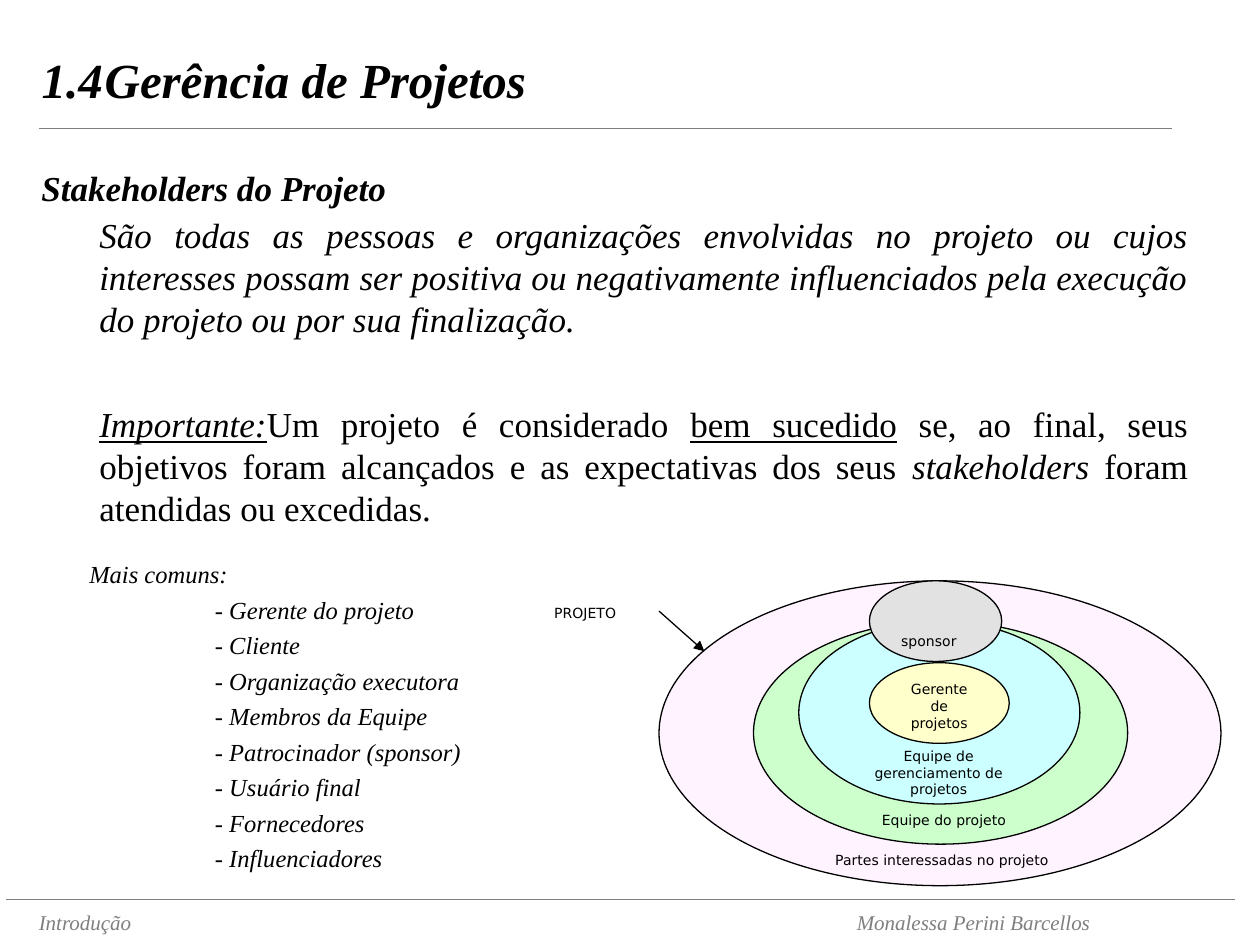
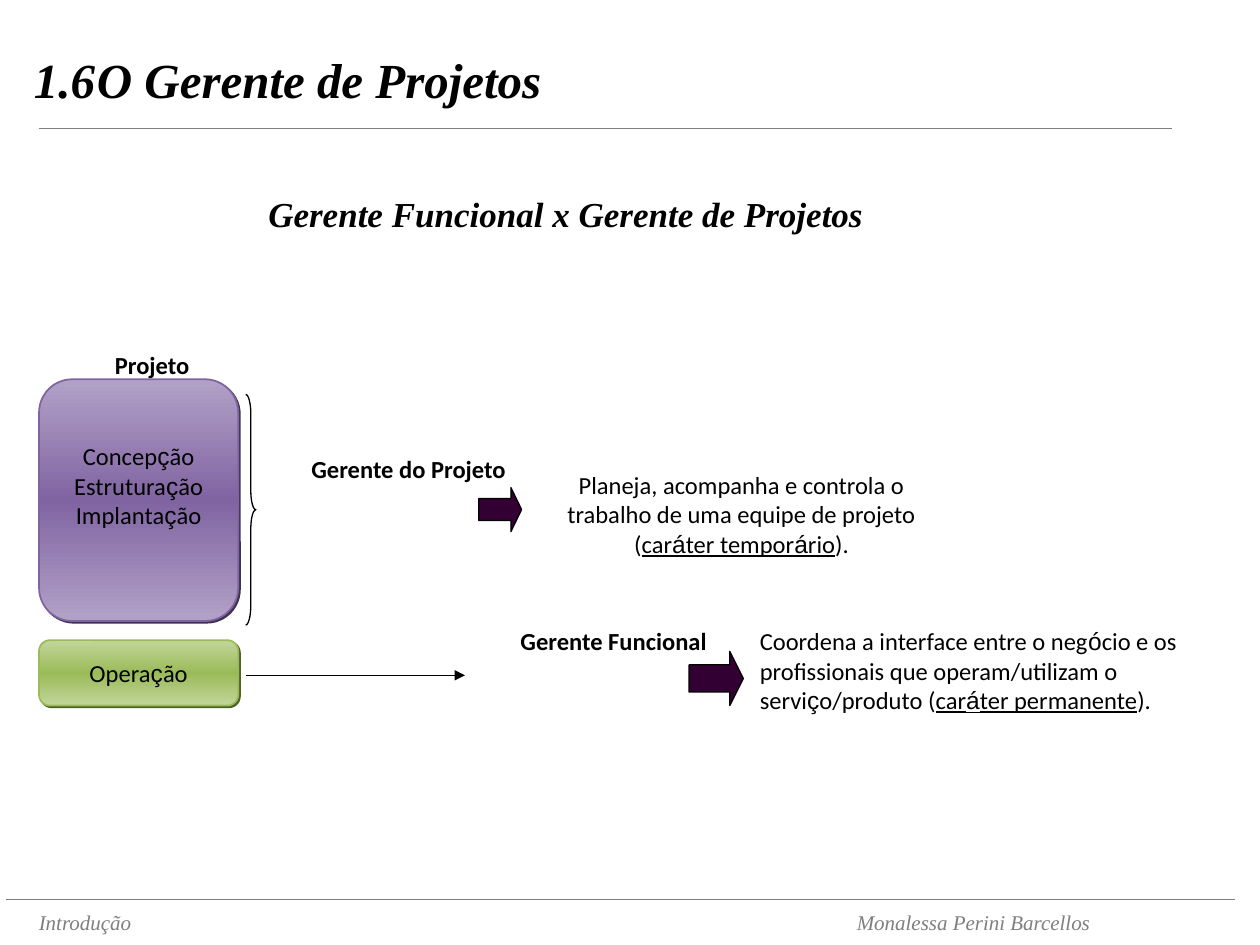
from dataclasses import dataclass
from itertools import groupby

from lxml.etree import SubElement
from copy import deepcopy
from pptx import Presentation
from pptx.dml.color import RGBColor
from pptx.enum.shapes import MSO_CONNECTOR, MSO_SHAPE as SHAPE
from pptx.enum.text import MSO_ANCHOR as ANCHOR, MSO_AUTO_SIZE, PP_ALIGN as ALIGN
from pptx.oxml.ns import qn
from pptx.util import Pt

# Colours
BLACK = RGBColor(0x00, 0x00, 0x00)
GRAY = RGBColor(0x7F, 0x7F, 0x7F)
PINK = RGBColor(0xFF, 0xF3, 0xFF)
GREEN = RGBColor(0xCC, 0xFF, 0xCC)
CYAN = RGBColor(0xCC, 0xFF, 0xFF)
YELLOW = RGBColor(0xFF, 0xFF, 0xCC)
SILVER = RGBColor(0xE2, 0xE2, 0xE2)
PLUM = RGBColor(0x33, 0x00, 0x33)
PURPLE = RGBColor(0x80, 0x64, 0xA2)
PURPLE_LIGHT = RGBColor(0xB2, 0xA1, 0xC7)
PURPLE_DARK = RGBColor(0x3F, 0x31, 0x51)
OLIVE = RGBColor(0x9B, 0xBB, 0x59)
OLIVE_LIGHT = RGBColor(0xC2, 0xD6, 0x9B)
OLIVE_DARK = RGBColor(0x4E, 0x61, 0x28)

LINE_HEIGHT = 1.2
WIDE_INSETS = (7.2, 3.6, 7.2, 3.6)
TIGHT_INSETS = (5.1, 2.9, 5.1, 2.9)
ARIAL_LETTERS = "çáó"


@dataclass(frozen=True)
class Style:
    font: str
    size: float
    flags: str = ""
    color: RGBColor = BLACK


TITLE = Style("Times New Roman", 28, "bi")
SUBTITLE = Style("Times New Roman", 20, "bi")
BODY = Style("Times New Roman", 20)
LIST = Style("Times New Roman", 14, "i")
FOOTER = Style("Times New Roman", 12, "i", GRAY)
DIAGRAM = Style("DejaVu Sans", 8)
FLOW = Style("Calibri", 14)
ROLE = Style("Calibri", 14, "b")


# Text
def add_run(paragraph, text, style, flags):
    run = paragraph.add_run()
    run.text = text
    font = run.font
    font.name, font.size = style.font, Pt(style.size)
    font.color.rgb = style.color
    font.bold, font.italic, font.underline = (flag in flags for flag in "biu")
    return run


def add_runs(paragraph, text, style, flags):
    """Calibri text sets some accented letters in Arial."""
    if style.font != "Calibri":
        add_run(paragraph, text, style, flags)
        return
    for accented, letters in groupby(text, lambda letter: letter in ARIAL_LETTERS):
        run = add_run(paragraph, "".join(letters), style, flags)
        if accented:
            run.font.name = "Arial"


def write(frame, paragraphs, style, align=ALIGN.LEFT, anchor=ANCHOR.TOP,
          insets=WIDE_INSETS, gap=0, margins=(0,), tab=None):
    """Each paragraph is a string or a list of (text, flags) runs."""
    frame.word_wrap = True
    frame.auto_size = MSO_AUTO_SIZE.NONE
    frame.vertical_anchor = anchor
    (frame.margin_left, frame.margin_top,
     frame.margin_right, frame.margin_bottom) = map(Pt, insets)
    for index, content in enumerate(paragraphs):
        paragraph = frame.add_paragraph() if index else frame.paragraphs[0]
        properties = paragraph._p.get_or_add_pPr()
        properties.set("marL", str(Pt(margins[min(index, len(margins) - 1)])))
        properties.set("indent", "0")
        SubElement(properties, qn("a:buNone"))
        if tab:
            stops = SubElement(properties, qn("a:tabLst"))
            SubElement(stops, qn("a:tab"), pos=str(Pt(tab)), algn="l")
        paragraph.alignment = align
        paragraph.line_spacing = Pt(style.size * LINE_HEIGHT)
        paragraph.space_before = Pt(gap if index else 0)
        runs = [(content, style.flags)] if isinstance(content, str) else content
        for text, flags in runs:
            add_runs(paragraph, text, style, flags)


def add_label(slide, box, paragraphs, style, **options):
    label = slide.shapes.add_textbox(*map(Pt, box))
    write(label.text_frame, paragraphs, style, **options)


def fill_placeholder(placeholder, box, paragraphs, style, **options):
    (placeholder.left, placeholder.top,
     placeholder.width, placeholder.height) = map(Pt, box)
    write(placeholder.text_frame, paragraphs, style, **options)


# Shapes and lines
def add_line(slide, start, end, color=BLACK, width=0.75, arrow=False):
    line = slide.shapes.add_connector(MSO_CONNECTOR.STRAIGHT, *map(Pt, start + end))
    line.line.color.rgb = color
    line.line.width = Pt(width)
    if arrow:
        SubElement(line.line._get_or_add_ln(), qn("a:tailEnd"), type="triangle")
    SubElement(line._element.spPr, qn("a:effectLst"))


def add_outlined(slide, kind, box, fill=None, line=BLACK, width=0.75):
    shape = slide.shapes.add_shape(kind, *map(Pt, box))
    shape.shadow.inherit = False
    if fill is None:
        shape.fill.background()
    else:
        shape.fill.solid()
        shape.fill.fore_color.rgb = fill
    shape.line.color.rgb = line
    shape.line.width = Pt(width)
    return shape


def add_phase_box(slide, box, edge, middle, shade, paragraphs, insets=TIGHT_INSETS):
    phase = add_outlined(slide, SHAPE.FLOWCHART_ALTERNATE_PROCESS, box,
                         line=middle, width=1)
    # Vertical gradient, light at both ends
    phase.fill.gradient()
    phase.fill.gradient_angle = 270
    properties = phase._element.spPr
    stops = properties.find(qn("a:gradFill")).find(qn("a:gsLst"))
    stops.append(deepcopy(stops[0]))
    for stop, position, color in zip(phase.fill.gradient_stops, (0, 0.5, 1),
                                     (edge, middle, edge)):
        stop.position = position
        stop.color.rgb = color
    # Hard shadow to the lower right
    shadow = SubElement(properties.find(qn("a:effectLst")), qn("a:outerShdw"),
                        dist=str(Pt(1.4)), dir="2700000", algn="ctr", rotWithShape="0")
    SubElement(shadow, qn("a:srgbClr"), val=str(shade))
    write(phase.text_frame, paragraphs, FLOW, align=ALIGN.CENTER,
          anchor=ANCHOR.MIDDLE, insets=insets)


def add_block_arrow(slide, box):
    arrow = add_outlined(slide, SHAPE.RIGHT_ARROW, box, PLUM)
    arrow.adjustments[0], arrow.adjustments[1] = 0.5, 0.25


# Shared frame: title, rules and footer
def add_framed_slide(deck, layout, title, left, tab):
    slide = deck.slides.add_slide(deck.slide_layouts[layout])
    fill_placeholder(slide.shapes.title, (left, 0, 690, 90), [title], TITLE,
                     anchor=ANCHOR.MIDDLE, tab=tab)
    add_line(slide, (22.3, 73.4), (669.6, 73.4), GRAY, 1)
    add_line(slide, (3.6, 514.1), (705.6, 514.1), GRAY)
    for text_left, text in ((15.1, "Introdução"), (482.5, "Monalessa Perini Barcellos")):
        add_label(slide, (text_left, 516.2, 180, 21.6), [text], FOOTER)
    return slide


# Slide 1
def add_stakeholder_rings(slide):
    for box, color in (
        ((376.6, 331.9, 321.1, 174.2), PINK),
        ((430.6, 355, 213.8, 127.4), GREEN),
        ((456.5, 355, 160.6, 104.4), CYAN),
    ):
        add_outlined(slide, SHAPE.OVAL, box, color)
    manager = add_outlined(slide, SHAPE.OVAL, (496.8, 378.7, 79.9, 46.1), YELLOW)
    write(manager.text_frame, ["Gerente de projetos"], DIAGRAM, align=ALIGN.CENTER)
    sponsor = add_outlined(slide, SHAPE.OVAL, (496.8, 331.9, 75.6, 46.1), SILVER)
    write(sponsor.text_frame, ["sponsor"], DIAGRAM, anchor=ANCHOR.BOTTOM,
          insets=(7.2, 0, 7.2, 0))

    for box, text in (
        ((496.8, 460.1, 93.6, 23), "Equipe do projeto"),
        ((470.2, 483.1, 160.6, 23), "Partes interessadas no projeto"),
        ((309.6, 342, 106.6, 23), "PROJETO"),
    ):
        add_label(slide, box, [text], DIAGRAM)
    add_label(slide, (483.1, 423.4, 106.6, 34.6),
              ["Equipe de gerenciamento de projetos"], DIAGRAM, align=ALIGN.CENTER)
    add_line(slide, (376.6, 349.2), (402.5, 372.2), arrow=True)


def build_stakeholders(deck):
    slide = add_framed_slide(deck, 3, "1.4\tGerência de Projetos", 16.6, 56)
    definition, common = slide.placeholders[1], slide.placeholders[2]
    add_label(slide, (16.6, 61.9, 390, 90), ["Stakeholders do Projeto"], SUBTITLE,
              anchor=ANCHOR.MIDDLE)
    fill_placeholder(definition, (22.3, 118.5, 663.8, 190), [
        [("São todas as pessoas e organizações envolvidas no projeto ou cujos interesses "
          "possam ser positiva ou negativamente influenciados pela execução do projeto "
          "ou por sua finalização.", "i")],
        [("Importante:", "iu"), ("Um projeto é considerado ", ""),
         ("bem sucedido", "u"),
         (" se, ao final, seus objetivos foram alcançados e as expectativas dos seus ", ""),
         ("stakeholders ", "i"), ("foram atendidas ou excedidas.", "")],
    ], BODY, align=ALIGN.JUSTIFY, gap=36, margins=(27.2,))
    fill_placeholder(common, (16.6, 316, 285, 190), [
        "Mais comuns:",
        "- Gerente do projeto",
        "- Cliente",
        "- Organização executora",
        "- Membros da Equipe",
        "- Patrocinador (sponsor)",
        "- Usuário final",
        "- Fornecedores",
        "- Influenciadores",
    ], LIST, gap=3.5, margins=(27.2, 99))
    add_stakeholder_rings(slide)


# Slide 2
def build_managers(deck):
    slide = add_framed_slide(deck, 5, "1.6\tO Gerente de Projetos", 12.2, 48.6)
    add_label(slide, (146.2, 106.6, 370, 31.7),
              ["Gerente Funcional x Gerente de Projetos"], SUBTITLE)

    # Phases; the spare bottom inset lifts the text by half a line
    add_phase_box(slide, (22.3, 216.7, 113.8, 138.2), PURPLE_LIGHT, PURPLE, PURPLE_DARK,
                  ["Concepção", "Estruturação", "Implantação"],
                  insets=(5.1, 2.9, 5.1, 19.7))
    add_phase_box(slide, (22.3, 365.8, 113.8, 37.4), OLIVE_LIGHT, OLIVE, OLIVE_DARK,
                  ["Operação"])
    brace = add_outlined(slide, SHAPE.RIGHT_BRACE, (140.4, 225.4, 5.8, 131.8))
    brace.adjustments[0] = 1.9
    add_line(slide, (140.4, 385.9), (265.7, 385.9), arrow=True)

    # Roles
    for box, text in (
        ((60.5, 197.3, 65, 21.6), "Projeto"),
        ((172.8, 256.3, 135, 21.6), "Gerente do Projeto"),
        ((292.3, 355, 130, 21.6), "Gerente Funcional"),
    ):
        add_label(slide, box, [text], ROLE, insets=TIGHT_INSETS)
    add_block_arrow(slide, (273.6, 278.6, 24.5, 25.2))
    add_block_arrow(slide, (393.8, 372.2, 31, 31))

    # What each manager does
    add_label(slide, (313.9, 265.7, 219.6, 72.7), [
        "Planeja, acompanha e controla o trabalho de uma equipe de projeto",
        [("(", ""), ("caráter temporário", "u"), (").", "")],
    ], FLOW, align=ALIGN.CENTER, insets=TIGHT_INSETS)
    add_label(slide, (429.1, 355, 257, 55.4), [
        [("Coordena a interface entre o negócio e os profissionais que operam/utilizam "
          "o serviço/produto (", ""), ("caráter permanente", "u"), (").", "")],
    ], FLOW, insets=TIGHT_INSETS)


def main():
    deck = Presentation()
    deck.slide_width, deck.slide_height = Pt(720), Pt(540)
    build_stakeholders(deck)
    build_managers(deck)
    deck.save("out.pptx")


if __name__ == "__main__":
    main()
